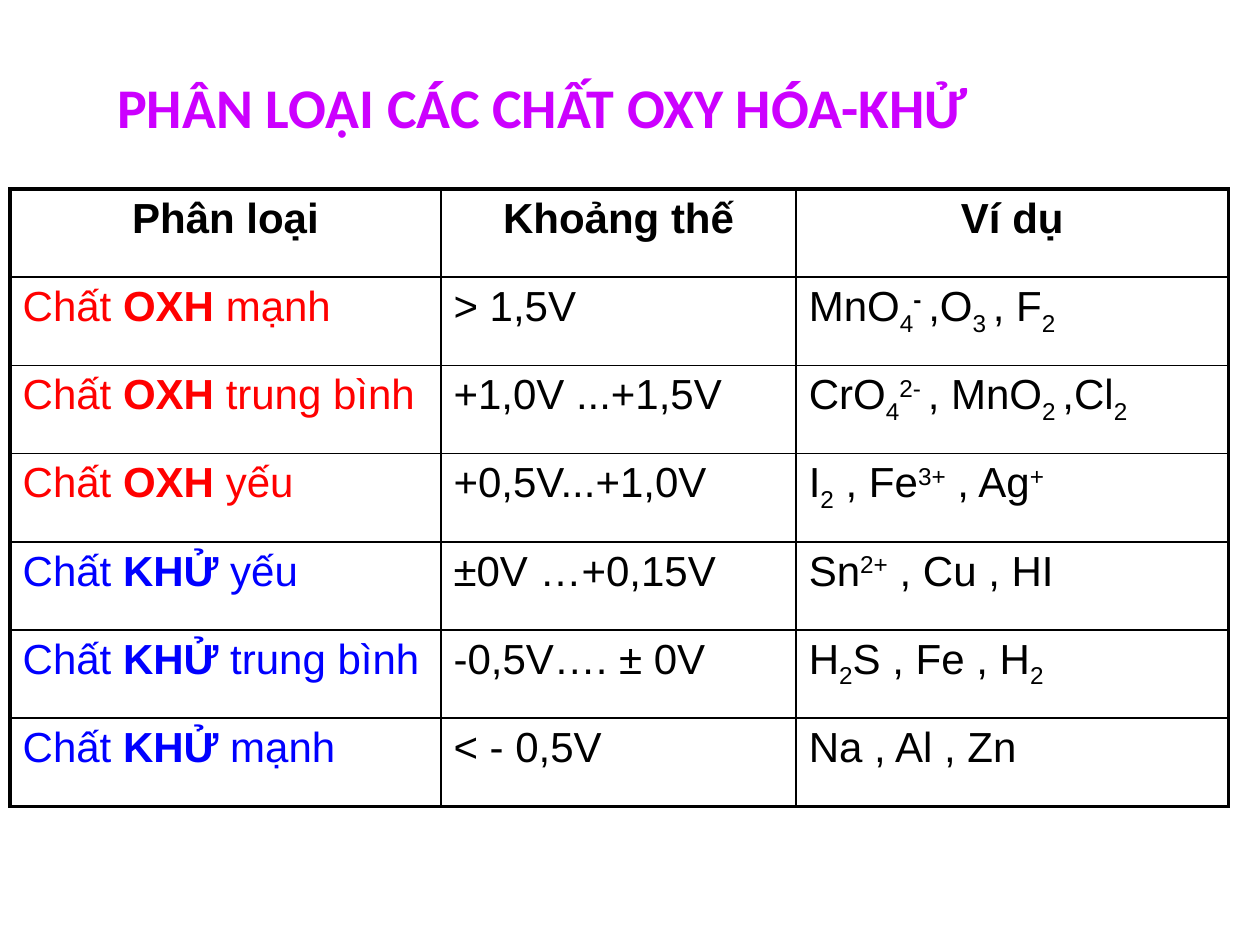
from lxml import etree
from pptx import Presentation
from pptx.dml.color import RGBColor
from pptx.enum.text import MSO_ANCHOR, PP_ALIGN
from pptx.oxml.ns import qn
from pptx.util import Inches, Pt

CENTER, LEFT = PP_ALIGN.CENTER, PP_ALIGN.LEFT
MIDDLE = MSO_ANCHOR.MIDDLE
BLACK = RGBColor(0x00, 0x00, 0x00)
WHITE = RGBColor(0xFF, 0xFF, 0xFF)
RED = RGBColor(0xFF, 0x00, 0x00)
BLUE = RGBColor(0x00, 0x00, 0xFF)
MAGENTA = RGBColor(0xCC, 0x00, 0xFF)

SLIDE_SIZE = (Inches(10), Inches(7.5))
TITLE_BOX = (Inches(0.33), Inches(0.25), Inches(9.33), Inches(1.25))
TABLE_BOX = (Inches(0.08), Inches(1.5), Inches(9.67), Inches(4.9))
COLUMN_SHARES = (3.42, 2.82, 3.43)
OUTER, INNER = Pt(2.25), Pt(1)


def plain(text, bold=False):
    """Describe a run on the baseline."""
    return text, 0, bold


def sub(text):
    """Describe a subscript run."""
    return text, -25, False


def sup(text, bold=False):
    """Describe a superscript run."""
    return text, 30, bold


HEADINGS = ("Phân loại", "Khoảng thế", "Ví dụ")
CLASSES = (
    ("OXH ", "mạnh", "> 1,5V",
     [plain("MnO"), sub("4"), sup("- ", True), plain(",O"), sub("3 "), plain(", F"), sub("2")]),
    ("OXH ", "trung bình", "+1,0V ...+1,5V",
     [plain("CrO"), sub("4"), sup("2- "), plain(", MnO"), sub("2 "), plain(",Cl"), sub("2")]),
    ("OXH ", "yếu", "+0,5V...+1,0V",
     [plain("I"), sub("2"), plain(" , Fe"), sup("3+"), plain(" , Ag"), sup("+")]),
    ("KHỬ ", "yếu", "±0V …+0,15V",
     [plain("Sn"), sup("2+"), plain(" , Cu , HI")]),
    ("KHỬ ", "trung bình", "-0,5V…. ± 0V",
     [plain("H"), sub("2"), plain("S , Fe , H"), sub("2")]),
    ("KHỬ ", "mạnh", "< - 0,5V",
     [plain("Na , Al , Zn")]),
)
KIND_COLORS = {"OXH ": RED, "KHỬ ": BLUE}


def add_runs(paragraph, runs, font_name, size, color):
    """Append the described runs to a paragraph."""
    for text, baseline, bold in runs:
        run = paragraph.add_run()
        run.text = text
        font = run.font
        font.name, font.size, font.bold = font_name, Pt(size), bold
        font.color.rgb = color
        if baseline:
            font._element.set("baseline", str(baseline * 1000))


def add_title(slide, box):
    """Place the slide title in its box."""
    frame = slide.shapes.add_textbox(*box).text_frame
    frame.word_wrap = True
    frame.vertical_anchor = MIDDLE
    frame.margin_left = Inches(0.6)
    heading = frame.paragraphs[0]
    heading.line_spacing = 0.9
    add_runs(heading, [plain("PHÂN LOẠI CÁC CHẤT OXY HÓA-KHỬ", True)],
             "Calibri", 32, MAGENTA)


def set_borders(cell, widths):
    """Draw the left, right, top and bottom borders of a cell."""
    properties = cell._tc.get_or_add_tcPr()
    for side, width in zip("LRTB", widths):
        line = etree.SubElement(properties, qn(f"a:ln{side}"), w=str(int(width)))
        fill = etree.SubElement(line, qn("a:solidFill"))
        etree.SubElement(fill, qn("a:srgbClr"), val=str(BLACK))


def table_rows():
    """List each row as cells of runs, colour and alignment."""
    rows = [[([plain(heading, True)], BLACK, CENTER) for heading in HEADINGS]]
    for kind, strength, potential, examples in CLASSES:
        name = [plain("Chất "), plain(kind, True), plain(strength)]
        rows.append([(name, KIND_COLORS[kind], LEFT),
                     ([plain(potential)], BLACK, LEFT),
                     (examples, BLACK, LEFT)])
    return rows


def add_classification(slide, box):
    """Place the table of oxidising and reducing agents in its box."""
    rows = table_rows()
    last_row, last_column = len(rows) - 1, len(HEADINGS) - 1
    table = slide.shapes.add_table(len(rows), len(HEADINGS), *box).table
    width, height = box[2:]
    for column, share in zip(table.columns, COLUMN_SHARES):
        column.width = int(width * share / sum(COLUMN_SHARES))
    for r, row in enumerate(rows):
        table.rows[r].height = height // len(rows)
        for c, (runs, color, alignment) in enumerate(row):
            cell = table.cell(r, c)
            edges = (c == 0, c == last_column, r == 0, r == last_row)
            set_borders(cell, [OUTER if edge else INNER for edge in edges])
            cell.fill.solid()
            cell.fill.fore_color.rgb = WHITE
            paragraph = cell.text_frame.paragraphs[0]
            paragraph.alignment = alignment
            add_runs(paragraph, runs, "Arial", 24, color)


def main():
    """Build and save the slide."""
    deck = Presentation()
    deck.slide_width, deck.slide_height = SLIDE_SIZE
    slide = deck.slides.add_slide(deck.slide_layouts[6])
    add_title(slide, TITLE_BOX)
    add_classification(slide, TABLE_BOX)
    deck.save("out.pptx")


if __name__ == "__main__":
    main()
